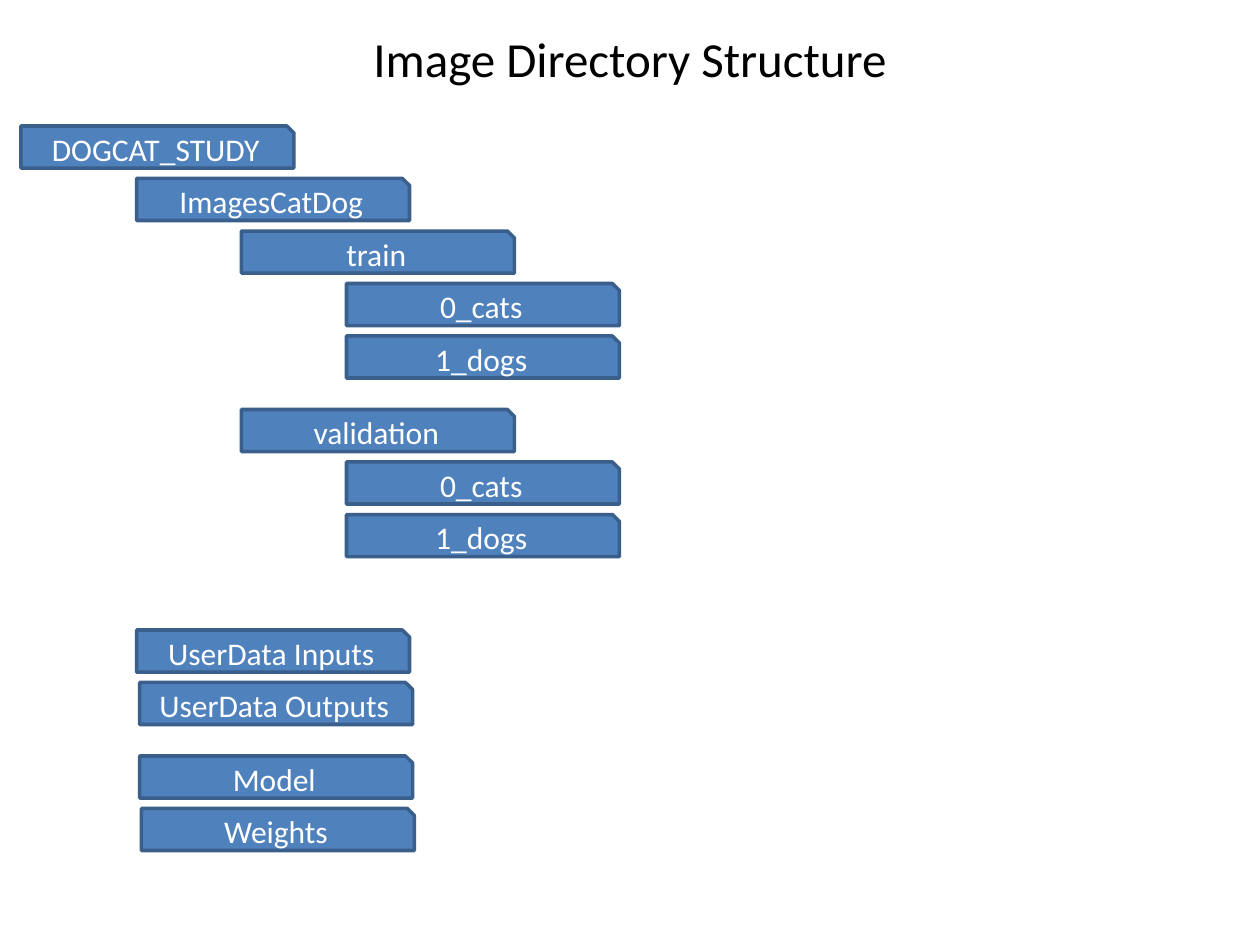
"""Build the image directory structure slide as an indented folder tree."""
from dataclasses import dataclass

from pptx import Presentation
from pptx.dml.color import RGBColor
from pptx.enum.shapes import MSO_SHAPE
from pptx.enum.text import MSO_ANCHOR, PP_ALIGN
from pptx.slide import Slide
from pptx.text.text import TextFrame
from pptx.util import Pt


@dataclass(frozen=True)
class Theme:
    font: str = "Calibri"
    title_size: float = 28
    folder_size: float = 18
    title_color: RGBColor = RGBColor(0x00, 0x00, 0x00)
    folder_text: RGBColor = RGBColor(0xFF, 0xFF, 0xFF)
    folder_fill: RGBColor = RGBColor(0x4F, 0x81, 0xBD)
    folder_line: RGBColor = RGBColor(0x3A, 0x5F, 0x8B)


@dataclass(frozen=True)
class Folder:
    name: str
    level: int
    space_before: float = 0
    nudge: float = 0


THEME = Theme()
LEVEL_LEFTS = (12, 78, 138, 198)
FIRST_TOP = 72
ROW_STEP = 30
FOLDER_WIDTH, FOLDER_HEIGHT = 156, 24

FOLDERS = (
    Folder("DOGCAT_STUDY", 0),
    Folder("ImagesCatDog", 1),
    Folder("train", 2),
    Folder("0_cats", 3),
    Folder("1_dogs", 3),
    Folder("validation", 2, space_before=12),
    Folder("0_cats", 3),
    Folder("1_dogs", 3),
    Folder("UserData Inputs", 1, space_before=36),
    Folder("UserData Outputs", 1, nudge=1.75),
    Folder("Model", 1, space_before=12, nudge=1.75),
    Folder("Weights", 1, nudge=2.75),
)


def write_text(frame: TextFrame, text: str, size: float, color: RGBColor) -> None:
    frame.text = text
    frame.word_wrap = True
    frame.vertical_anchor = MSO_ANCHOR.MIDDLE
    paragraph = frame.paragraphs[0]
    paragraph.alignment = PP_ALIGN.CENTER
    font = paragraph.runs[0].font
    font.name, font.size = THEME.font, Pt(size)
    font.color.rgb = color


def add_title(slide: Slide, text: str) -> None:
    title = slide.shapes.title
    title.left, title.top, title.width, title.height = Pt(36), Pt(12), Pt(648), Pt(42)
    write_text(title.text_frame, text, THEME.title_size, THEME.title_color)


def add_folder(slide: Slide, folder: Folder, top: float) -> None:
    left = LEVEL_LEFTS[folder.level] + folder.nudge
    shape = slide.shapes.add_shape(
        MSO_SHAPE.SNIP_1_RECTANGLE, Pt(left), Pt(top), Pt(FOLDER_WIDTH), Pt(FOLDER_HEIGHT)
    )
    shape.shadow.inherit = False
    shape.fill.solid()
    shape.fill.fore_color.rgb = THEME.folder_fill
    shape.line.color.rgb = THEME.folder_line
    shape.line.width = Pt(2)
    write_text(shape.text_frame, folder.name, THEME.folder_size, THEME.folder_text)


def add_tree(slide: Slide) -> None:
    top = FIRST_TOP
    for folder in FOLDERS:
        top += folder.space_before
        add_folder(slide, folder, top)
        top += ROW_STEP


def main() -> None:
    deck = Presentation()
    deck.slide_width, deck.slide_height = Pt(720), Pt(540)
    slide = deck.slides.add_slide(deck.slide_layouts.get_by_name("Title Only"))
    add_title(slide, "Image Directory Structure")
    add_tree(slide)
    deck.save("out.pptx")


main()
